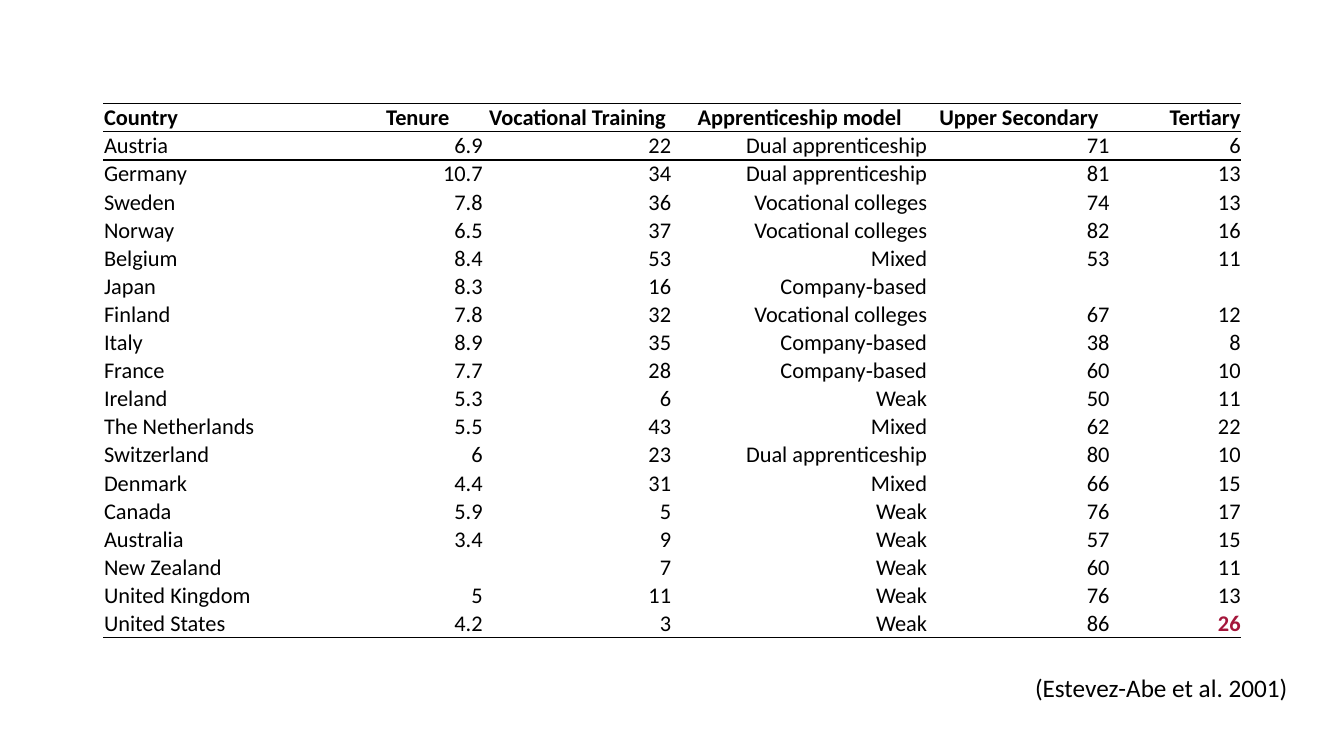
import pptx
import pptx.dml.color
import pptx.enum.text
import pptx.util
from lxml import etree

Pt = pptx.util.Pt
RGB = pptx.dml.color.RGBColor
ALIGN = pptx.enum.text.PP_ALIGN
ANCHOR = pptx.enum.text.MSO_ANCHOR
A = "{http://schemas.openxmlformats.org/drawingml/2006/main}"

THEME = {
    "font": "Calibri",
    "ink": "000000",
    "accent": "A4163B",
    "table_size": 16,
    "citation_size": 18,
}
NO_STYLE = "{2D5ABB26-0587-4C30-8999-92F81FD0307C}"

HEADER = ["Country", "Tenure", "Vocational Training", "Apprenticeship model",
          "Upper Secondary", "Tertiary"]
COUNTRIES = [
    ["Austria", "6.9", "22", "Dual apprenticeship", "71", "6"],
    ["Germany", "10.7", "34", "Dual apprenticeship", "81", "13"],
    ["Sweden", "7.8", "36", "Vocational colleges", "74", "13"],
    ["Norway", "6.5", "37", "Vocational colleges", "82", "16"],
    ["Belgium", "8.4", "53", "Mixed", "53", "11"],
    ["Japan", "8.3", "16", "Company‐based", "", ""],
    ["Finland", "7.8", "32", "Vocational colleges", "67", "12"],
    ["Italy", "8.9", "35", "Company‐based", "38", "8"],
    ["France", "7.7", "28", "Company‐based", "60", "10"],
    ["Ireland", "5.3", "6", "Weak", "50", "11"],
    ["The Netherlands", "5.5", "43", "Mixed", "62", "22"],
    ["Switzerland", "6", "23", "Dual apprenticeship", "80", "10"],
    ["Denmark", "4.4", "31", "Mixed", "66", "15"],
    ["Canada", "5.9", "5", "Weak", "76", "17"],
    ["Australia", "3.4", "9", "Weak", "57", "15"],
    ["New Zealand", "", "7", "Weak", "60", "11"],
    ["United Kingdom", "5", "11", "Weak", "76", "13"],
    ["United States", "4.2", "3", "Weak", "86", "26"],
]
COL_WIDTHS = [177.84, 93.6, 134.64, 182.88, 130.32, 93.6]
ROW_HEIGHT = 19.63


def set_font(p, size, color, bold=False):
    p.font.name = THEME["font"]
    p.font.size = Pt(size)
    p.font.bold = bold
    p.font.color.rgb = RGB.from_string(color)


def add_border(cell, side):
    ln = etree.SubElement(cell._tc.get_or_add_tcPr(), A + side, w=str(Pt(1)))
    fill = etree.SubElement(ln, A + "solidFill")
    etree.SubElement(fill, A + "srgbClr", val=THEME["ink"])


prs = pptx.Presentation()
prs.slide_width, prs.slide_height = Pt(960), Pt(540)
s = prs.slides.add_slide(prs.slide_layouts[6])

rows = [HEADER] + COUNTRIES
last_row, last_col = len(rows) - 1, len(HEADER) - 1
table = s.shapes.add_table(len(rows), len(HEADER), Pt(73.8), Pt(74.1),
                           Pt(sum(COL_WIDTHS)), Pt(ROW_HEIGHT * len(rows))).table
table.first_row = False
table.horz_banding = False
table._tbl.tblPr.find(A + "tableStyleId").text = NO_STYLE

for column, width in zip(table.columns, COL_WIDTHS):
    column.width = Pt(width)

for i, values in enumerate(rows):
    table.rows[i].height = Pt(ROW_HEIGHT)
    for j, value in enumerate(values):
        cell = table.cell(i, j)
        cell.vertical_anchor = ANCHOR.BOTTOM
        cell.margin_left = cell.margin_right = cell.margin_top = Pt(0.5)
        cell.margin_bottom = 0
        p = cell.text_frame.paragraphs[0]
        p.text = value
        if j == 0:
            p.alignment = ALIGN.LEFT
        elif i == 0 and j < last_col:
            p.alignment = ALIGN.CENTER
        else:
            p.alignment = ALIGN.RIGHT
        highlight = i == last_row and j == last_col
        set_font(p, THEME["table_size"], THEME["accent" if highlight else "ink"],
                 i == 0 or highlight)
        if not value:
            etree.SubElement(p._p, A + "endParaRPr", sz=str(THEME["table_size"] * 100))
        if i == 0:
            add_border(cell, "lnT")
        if i in (0, 1, last_row):
            add_border(cell, "lnB")

tf = s.shapes.add_textbox(Pt(732.24), Pt(476.64), Pt(196.56), Pt(28.8)).text_frame
tf.word_wrap = False
tf.auto_size = pptx.enum.text.MSO_AUTO_SIZE.SHAPE_TO_FIT_TEXT
p = tf.paragraphs[0]
p.text = "(Estevez-Abe et al. 2001)"
set_font(p, THEME["citation_size"], THEME["ink"])

prs.save("out.pptx")
